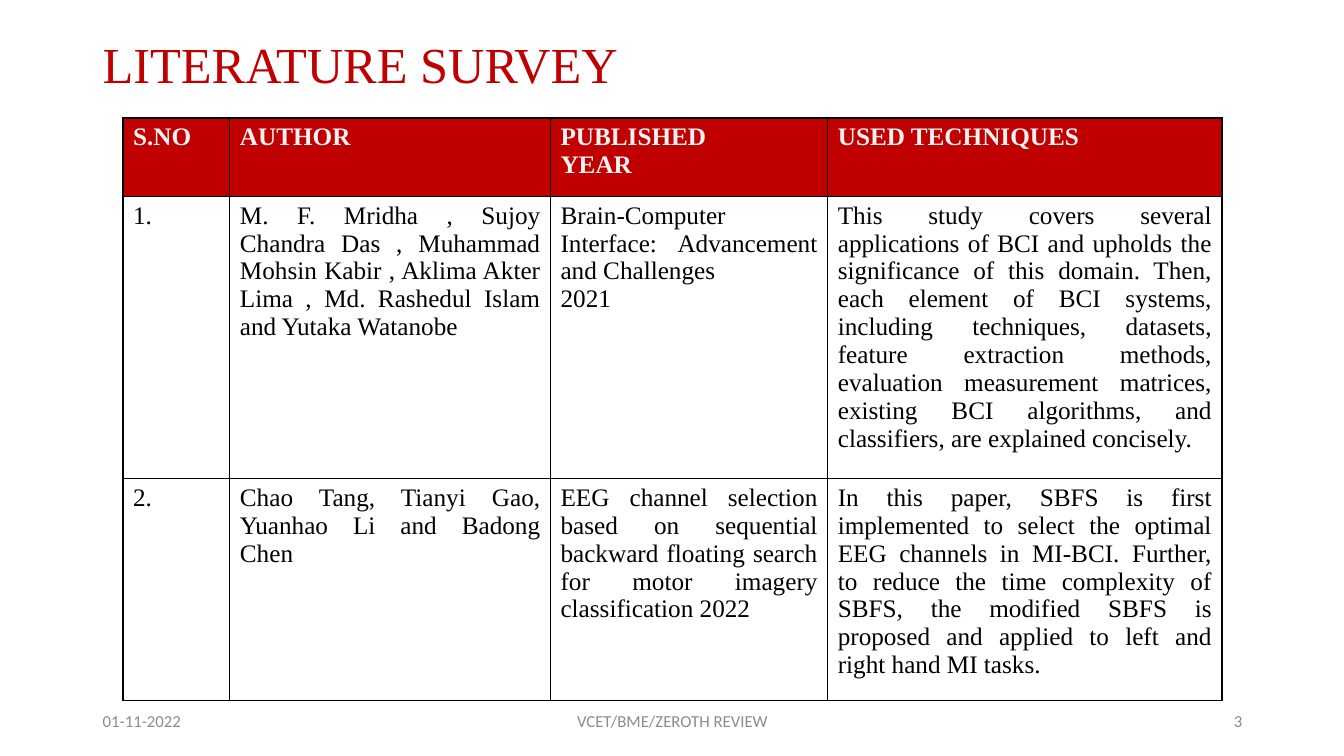
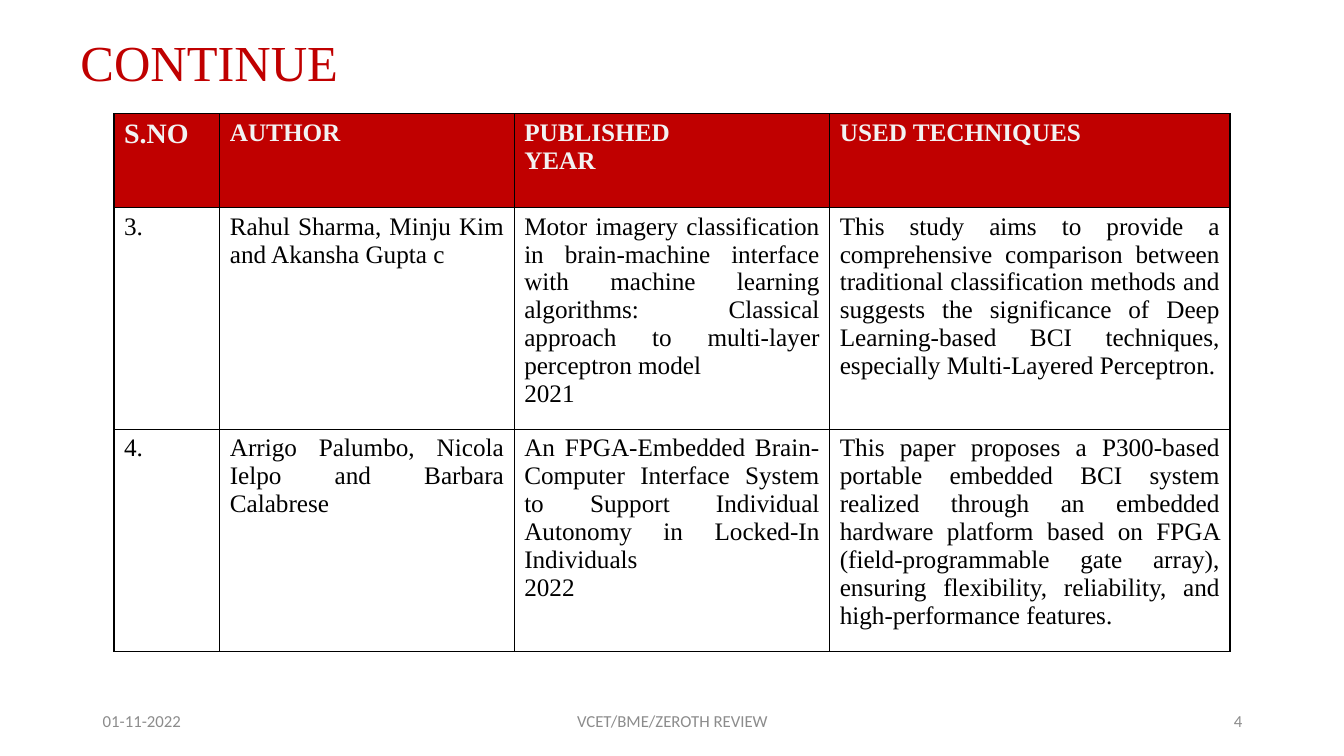
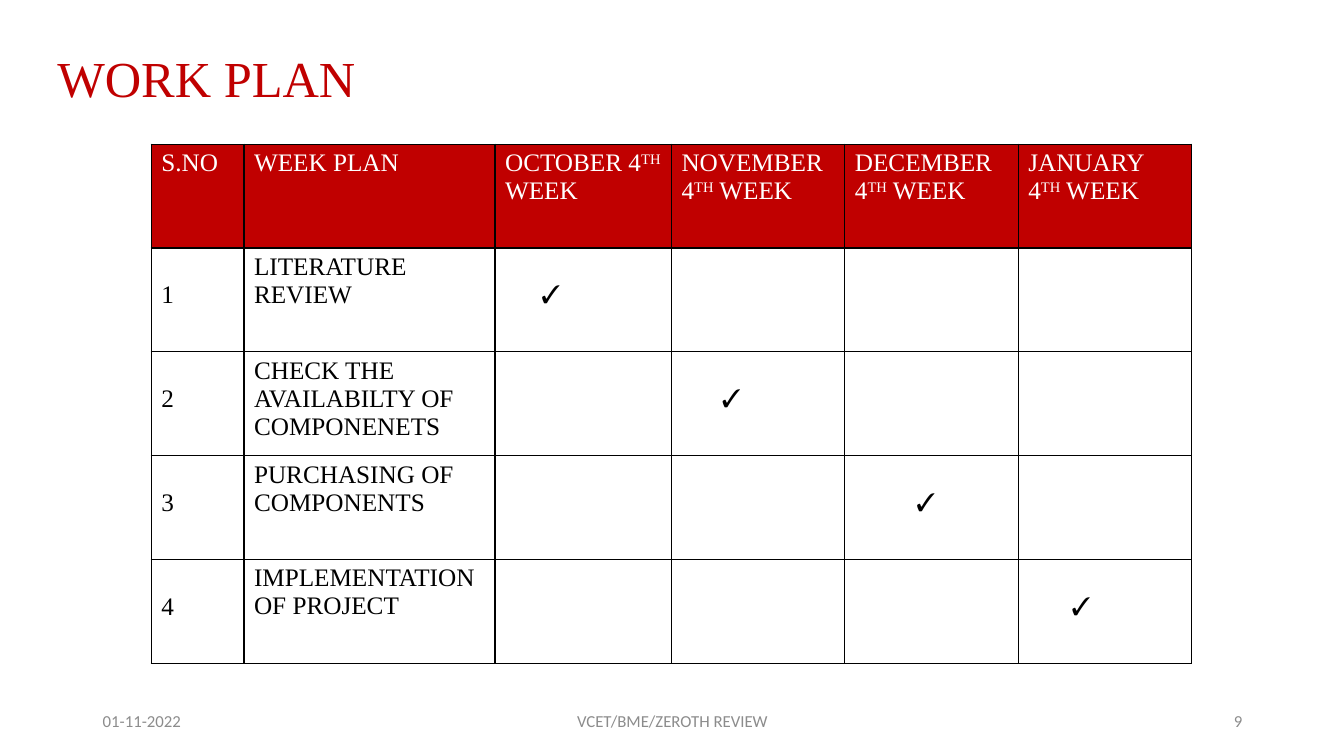
from lxml.etree import SubElement
from pptx import Presentation
from pptx.dml.color import RGBColor
from pptx.enum.text import MSO_ANCHOR as Anchor, PP_ALIGN as Align
from pptx.oxml.ns import qn
from pptx.util import Inches, Pt

RED, BLACK, WHITE, PALE, GREY = "C00000", "000000", "FFFFFF", "F2F2F2", "8C8C8C"
SERIF, SANS = "Times New Roman", "Calibri"
DATE, REVIEW = "01-11-2022", "VCET/BME/ZEROTH REVIEW"
HEADS = ["S.NO", "AUTHOR", "PUBLISHED\nYEAR", "USED TECHNIQUES"]
MONTHS = ["OCTOBER", "NOVEMBER", "DECEMBER", "JANUARY"]
INDENTS = [0.46, 0.5, 0.71, 0.53]
LOWER = 0.33  # top margin that leaves one line free above the text

PAPERS = [
    ["1.",
     "M. F. Mridha , Sujoy Chandra Das , Muhammad Mohsin Kabir , "
     "Aklima Akter Lima , Md. Rashedul Islam and Yutaka Watanobe",
     "Brain-Computer Interface: Advancement and Challenges\n2021",
     "This study covers several applications of BCI and upholds the "
     "significance of this domain. Then, each element of BCI systems, "
     "including techniques, datasets, feature extraction methods, evaluation "
     "measurement matrices, existing BCI algorithms, and classifiers, are "
     "explained concisely."],
    ["2.",
     "Chao Tang, Tianyi Gao, Yuanhao Li and Badong Chen",
     "EEG channel selection based on sequential backward floating search for "
     "motor imagery classification 2022",
     "In this paper, SBFS is first implemented to select the optimal EEG "
     "channels in MI-BCI. Further, to reduce the time complexity of SBFS, the "
     "modified SBFS is proposed and applied to left and right hand MI tasks."],
    ["3.",
     "Rahul Sharma, Minju Kim and Akansha Gupta c",
     "Motor imagery classification in brain-machine interface with machine "
     "learning algorithms: Classical approach to multi-layer perceptron model"
     "\n2021",
     "This study aims to provide a comprehensive comparison between "
     "traditional classification methods and suggests the significance of "
     "Deep Learning-based BCI techniques, especially Multi-Layered Perceptron."],
    ["4.",
     "Arrigo Palumbo, Nicola Ielpo and Barbara Calabrese",
     "An FPGA-Embedded Brain-Computer Interface System to Support Individual "
     "Autonomy in Locked-In Individuals\n2022",
     "This paper proposes a P300-based portable embedded BCI system realized "
     "through an embedded hardware platform based on FPGA (field-programmable "
     "gate array), ensuring flexibility, reliability, and high-performance "
     "features."],
]
TASKS = ["LITERATURE REVIEW", "CHECK THE AVAILABILTY OF COMPONENETS",
         "PURCHASING OF COMPONENTS", "IMPLEMENTATION OF PROJECT"]


def color(code):
    return RGBColor.from_string(code)


def write(frame, text, size, ink, font=SERIF, bold=False, align=Align.LEFT,
          pitch=None):
    """Each line is a paragraph; text between carets is superscript."""
    for i, line in enumerate(text.split("\n")):
        para = frame.add_paragraph() if i else frame.paragraphs[0]
        para.alignment = align
        if pitch:
            para.line_spacing = pitch
        for j, part in enumerate(line.split("^")):
            run = para.add_run()
            run.text = part
            run.font.name, run.font.size, run.font.bold = font, Pt(size), bold
            run.font.color.rgb = color(ink)
            if j % 2:
                run._r.get_or_add_rPr().set("baseline", "30000")


def label(slide, box, text, size, ink, **style):
    frame = slide.shapes.add_textbox(*map(Inches, box)).text_frame
    frame.word_wrap = True
    frame.vertical_anchor = Anchor.MIDDLE
    write(frame, text, size, ink, **style)


def base(deck, title, left, top, number):
    """Add a slide with its title and footer."""
    slide = deck.slides.add_slide(deck.slide_layouts[6])
    label(slide, (left, top, 11.5, 1.45), title, 36, RED, pitch=0.9)
    for x, wide, text, align in [(0.92, 3, DATE, Align.LEFT),
                                 (4.42, 4.5, REVIEW, Align.CENTER),
                                 (9.42, 3, str(number), Align.RIGHT)]:
        label(slide, (x, 6.95, wide, 0.4), text, 12, GREY, font=SANS,
              align=align)
    return slide


def border(cell):
    props = cell._tc.get_or_add_tcPr()
    for side in ("a:lnL", "a:lnR", "a:lnT", "a:lnB"):
        line = SubElement(props, qn(side), w=str(Pt(1)))
        SubElement(SubElement(line, qn("a:solidFill")), qn("a:srgbClr"),
                   val=BLACK)


def grid(slide, left, top, cols, rows):
    """Add a bordered table with a red first row."""
    box = map(Inches, (left, top, sum(cols), sum(rows)))
    table = slide.shapes.add_table(len(rows), len(cols), *box).table
    table.first_row = table.horz_banding = False
    for col, wide in zip(table.columns, cols):
        col.width = Inches(wide)
    for i, (row, high) in enumerate(zip(table.rows, rows)):
        row.height = Inches(high)
        for cell in row.cells:
            border(cell)
            if i:
                cell.fill.background()
            else:
                cell.fill.solid()
                cell.fill.fore_color.rgb = color(RED)
    return table


def survey(slide, left, top, cols, rows, papers, first=18):
    """Fill a literature table; first is the text size of its first head."""
    table = grid(slide, left, top, cols, rows)
    for c, head in enumerate(HEADS):
        write(table.cell(0, c).text_frame, head, 18 if c else first, PALE,
              bold=True)
    for r, paper in enumerate(papers, 1):
        for c, text in enumerate(paper):
            write(table.cell(r, c).text_frame, text, 18, BLACK,
                  align=Align.JUSTIFY)


def plan(slide, left, top, cols, rows):
    table = grid(slide, left, top, cols, rows)
    heads = ["S.NO", "WEEK PLAN"] + [f"{month} 4^TH^ WEEK" for month in MONTHS]
    for c, head in enumerate(heads):
        write(table.cell(0, c).text_frame, head, 18, WHITE)
    for r, (task, indent) in enumerate(zip(TASKS, INDENTS), 1):
        count, name, tick = (table.cell(r, c) for c in (0, 1, r + 1))
        count.margin_top = tick.margin_top = Inches(LOWER)
        tick.margin_left = Inches(indent)
        for cell, text in ((count, str(r)), (name, task), (tick, "✓")):
            write(cell.text_frame, text, 18, BLACK)


def main():
    deck = Presentation()
    deck.slide_width, deck.slide_height = Inches(13.33), Inches(7.5)
    survey(base(deck, "LITERATURE SURVEY", 0.92, -0.06, 3), 1.22, 1.17,
           [1.06, 3.18, 2.75, 3.91], [0.78, 2.59, 2.08], PAPERS[:2])
    survey(base(deck, "CONTINUE", 0.7, -0.08, 4), 1.13, 1.13,
           [1.05, 2.92, 3.13, 3.97], [0.93, 2.04, 2.04], PAPERS[2:], first=20)
    plan(base(deck, "WORK PLAN", 0.47, 0.08, 9), 1.5, 1.43,
         [0.92, 2.49, 1.75] + [1.72] * 3, [1.03] * 5)
    deck.save("out.pptx")


if __name__ == "__main__":
    main()
